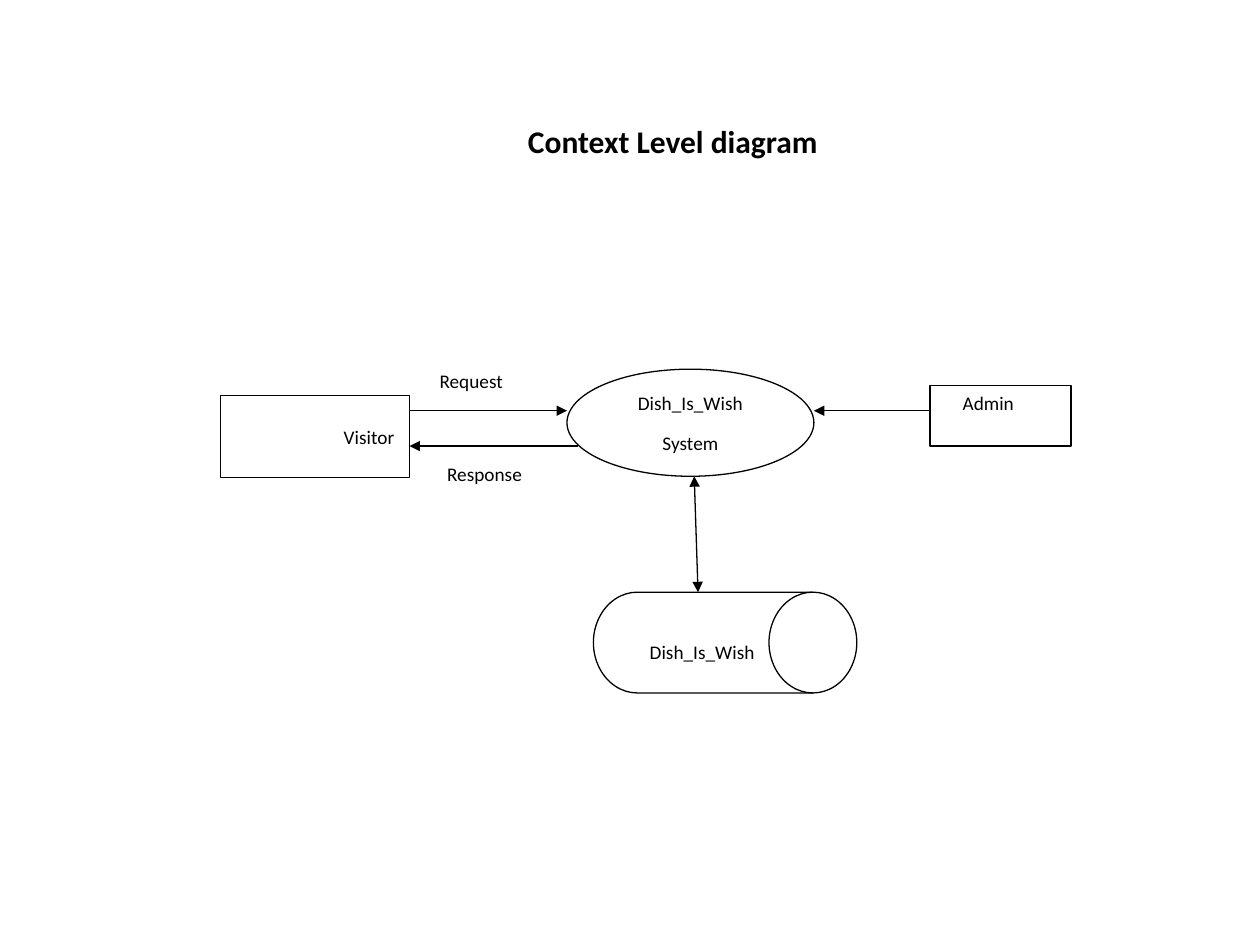
from dataclasses import dataclass
from lxml import etree
from pptx import Presentation
from pptx.dml.color import RGBColor
from pptx.enum.shapes import MSO_CONNECTOR, MSO_SHAPE
from pptx.enum.text import MSO_ANCHOR, PP_ALIGN
from pptx.oxml.ns import qn
from pptx.util import Inches, Pt

PROCESS = MSO_SHAPE.FLOWCHART_PROCESS
DRUM = MSO_SHAPE.FLOWCHART_DIRECT_ACCESS_STORAGE
OVAL = MSO_SHAPE.OVAL
STRAIGHT = MSO_CONNECTOR.STRAIGHT
LEFT, CENTER, RIGHT = PP_ALIGN.LEFT, PP_ALIGN.CENTER, PP_ALIGN.RIGHT
TOP, MIDDLE = MSO_ANCHOR.TOP, MSO_ANCHOR.MIDDLE


@dataclass(frozen=True)
class Theme:
    ink: RGBColor = RGBColor(0, 0, 0)
    paper: RGBColor = RGBColor(255, 255, 255)
    font: str = "Calibri"
    title_size: Pt = Pt(18)
    body_size: Pt = Pt(11)
    paragraph_gap: Pt = Pt(10)
    line_width: Pt = Pt(0.75)


THEME = Theme()


def write(frame, text, size, align=LEFT, anchor=TOP, bold=False,
          insets=(0.1, 0.05, 0.1, 0.05)):
    frame.text = text
    frame.word_wrap = True
    frame.vertical_anchor = anchor
    (frame.margin_left, frame.margin_top,
     frame.margin_right, frame.margin_bottom) = map(Inches, insets)
    for paragraph in frame.paragraphs:
        paragraph.alignment = align
        for run in paragraph.runs:
            run.font.name = THEME.font
            run.font.size = size
            run.font.bold = bold
            run.font.color.rgb = THEME.ink
    for paragraph in frame.paragraphs[:-1]:
        paragraph.space_after = THEME.paragraph_gap


def add_node(slide, preset, box, text, **layout):
    node = slide.shapes.add_shape(preset, *map(Inches, box))
    node.shadow.inherit = False
    node.fill.solid()
    node.fill.fore_color.rgb = THEME.paper
    node.line.color.rgb = THEME.ink
    node.line.width = THEME.line_width
    write(node.text_frame, text, THEME.body_size, **layout)


def add_label(slide, box, text, size, **layout):
    label = slide.shapes.add_textbox(*map(Inches, box))
    write(label.text_frame, text, size, **layout)


def add_arrow(slide, start, end, both_ends=False):
    arrow = slide.shapes.add_connector(STRAIGHT, *map(Inches, start + end))
    arrow.line.color.rgb = THEME.ink
    arrow.line.width = THEME.line_width
    outline = arrow.line._get_or_add_ln()
    for tag in ("a:headEnd", "a:tailEnd") if both_ends else ("a:tailEnd",):
        etree.SubElement(outline, qn(tag), type="triangle")
    etree.SubElement(arrow._element.spPr, qn("a:effectLst"))


def add_title(slide, box):
    add_label(slide, box, "Context Level diagram", THEME.title_size,
              align=CENTER, bold=True)


def add_context_diagram(slide, left, top):
    def at(x, y, *size):
        return (left + x, top + y, *size)

    request_y, response_y = 0.38, 0.66
    visitor_right, system_left, system_right, admin_left = 1.5, 2.75, 4.71, 5.63

    add_node(slide, PROCESS, at(0, 0.26, visitor_right, 0.65), "Visitor",
             align=RIGHT, anchor=MIDDLE, insets=(0.1, 0.05, 0.12, 0.05))
    add_node(slide, DRUM, at(2.96, 1.82, 2.09, 0.8), "Dish_Is_Wish",
             insets=(0.1, 0.38, 0.1, 0.05))
    add_node(slide, OVAL, at(system_left, 0.05, system_right - system_left, 0.85),
             "Dish_Is_Wish\nSystem", align=CENTER, anchor=MIDDLE)
    add_node(slide, PROCESS, at(admin_left, 0.18, 1.12, 0.48), "Admin",
             insets=(0.26, 0.05, 0.1, 0.05))

    add_arrow(slide, at(visitor_right, request_y), at(system_left, request_y))
    add_arrow(slide, at(2.84, response_y), at(visitor_right, response_y))
    add_arrow(slide, at(admin_left, request_y), at(system_right, request_y))
    add_arrow(slide, at(3.76, 0.9), at(3.79, 1.82), both_ends=True)

    for text, x, y in (("Request", 1.64, 0), ("Response", 1.7, 0.74)):
        add_label(slide, at(x, y, 1, 0.32), text, THEME.body_size)


deck = Presentation()
deck.slide_width, deck.slide_height = Inches(10), Inches(7.5)
context_slide = deck.slides.add_slide(deck.slide_layouts[6])
add_context_diagram(context_slide, 1.75, 2.88)
add_title(context_slide, (4.05, 0.92, 2.58, 0.4))
deck.save("out.pptx")
